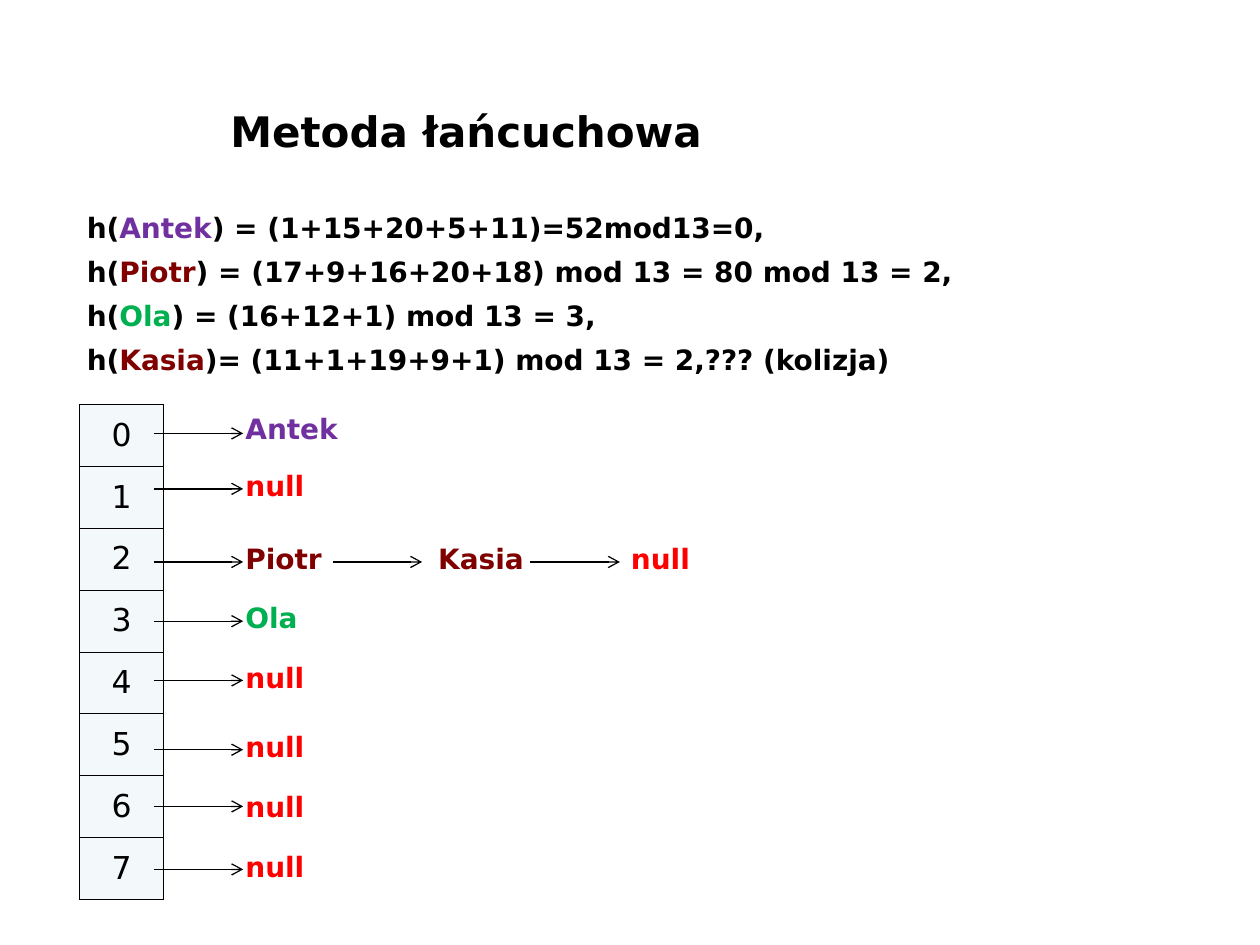
from lxml import etree
from pptx import Presentation
from pptx.dml.color import RGBColor
from pptx.enum.shapes import MSO_CONNECTOR
from pptx.enum.text import MSO_ANCHOR, PP_ALIGN
from pptx.oxml.ns import qn
from pptx.util import Inches, Pt

STRAIGHT = MSO_CONNECTOR.STRAIGHT
MIDDLE = MSO_ANCHOR.MIDDLE
CENTER = PP_ALIGN.CENTER

FONT = "DejaVu Sans"
BLACK, PURPLE, MAROON, GREEN, RED = "000000", "7030A0", "800000", "00B050", "FF0000"
CELL_FILL = "F3F9FA"
UNIT = 0.1
COLUMNS, ROWS = 100, 75
TAB_STEP = 15.3
ARROW_LENGTH = 7.1

HASHES = [
    ("Antek", PURPLE, ") = (1+15+20+5+11)=52mod13=0,"),
    ("Piotr", MAROON, ") = (17+9+16+20+18) mod 13 = 80 mod 13 = 2,"),
    ("Ola", GREEN, ") = (16+12+1) mod 13 = 3,"),
    ("Kasia", MAROON, ")= (11+1+19+9+1) mod 13 = 2,??? (kolizja)"),
]
NULL = ("null", RED)
CHAINS = [
    (2.3, 0.1, [("Antek", PURPLE)]),
    (6.7, 4.6, [NULL]),
    (12.5, 10.4, [("Piotr", MAROON), ("Kasia", MAROON), NULL]),
    (17.2, 15.1, [("Ola", GREEN)]),
    (21.9, 19.8, [NULL]),
    (27.4, 25.3, [NULL]),
    (31.9, 30.1, [NULL]),
    (36.9, 34.8, [NULL]),
]
ARROW_STARTS = [5.9, 20.1, 35.8]


def grid(value):
    return Inches(value * UNIT)


def color(value):
    return RGBColor.from_string(value)


def add_span(para, text, fill, size=16, bold=True):
    span = para.add_run()
    span.text = text
    for name, value in {"name": FONT, "size": Pt(size), "bold": bold}.items():
        setattr(span.font, name, value)
    span.font.color.rgb = color(fill)


def add_frame(page, box):
    frame = page.shapes.add_textbox(*map(grid, box)).text_frame
    frame.word_wrap = True
    return frame


def add_title(page, box):
    frame = add_frame(page, box)
    frame.vertical_anchor = MIDDLE
    add_span(frame.paragraphs[0], "Metoda łańcuchowa", BLACK, 24)


def add_hashes(page, box):
    frame = add_frame(page, box)
    for index, (name, fill, result) in enumerate(HASHES):
        para = frame.add_paragraph() if index else frame.paragraphs[0]
        para.space_after = Pt(6)
        for text, shade in [("h(", BLACK), (name, fill), (result, BLACK)]:
            add_span(para, text, shade)


def add_borders(cell):
    properties = cell._tc.get_or_add_tcPr()
    for position, side in enumerate(["a:lnL", "a:lnR", "a:lnT", "a:lnB"]):
        border = etree.Element(qn(side), w=str(Pt(0.45)))
        fill = etree.SubElement(border, qn("a:solidFill"))
        etree.SubElement(fill, qn("a:srgbClr"), val=BLACK)
        properties.insert(position, border)


def add_buckets(page, box):
    table = page.shapes.add_table(len(CHAINS), 1, *map(grid, box)).table
    table.first_row = table.horz_banding = False
    margins = {"margin_left": 0.01, "margin_right": 0.01, "margin_top": 0.05, "margin_bottom": 0.05}
    for index in range(len(CHAINS)):
        cell = table.cell(index, 0)
        cell.fill.solid()
        cell.fill.fore_color.rgb = color(CELL_FILL)
        cell.vertical_anchor = MIDDLE
        for name, value in margins.items():
            setattr(cell, name, Inches(value))
        add_borders(cell)
        para = cell.text_frame.paragraphs[0]
        para.alignment = CENTER
        add_span(para, str(index), BLACK, 18, False)


def add_arrow(page, left, top):
    ends = map(grid, (left, top, left + ARROW_LENGTH, top))
    arrow = page.shapes.add_connector(STRAIGHT, *ends)
    arrow.line.width = Pt(0.75)
    arrow.line.color.rgb = color(BLACK)
    etree.SubElement(arrow.line._get_or_add_ln(), qn("a:tailEnd"), type="arrow")
    etree.SubElement(arrow._element.spPr, qn("a:effectLst"))


def add_chain(page, box, names):
    para = add_frame(page, box).paragraphs[0]
    if len(names) > 1:
        tabs = etree.SubElement(para._p.get_or_add_pPr(), qn("a:tabLst"))
        for stop in range(1, len(names)):
            etree.SubElement(tabs, qn("a:tab"), pos=str(grid(stop * TAB_STEP)), algn="l")
    for index, (name, fill) in enumerate(names):
        add_span(para, f"\t{name}" if index else name, fill)


def add_hash_table(page, box):
    left, top, width, height = box
    add_buckets(page, (left, top, 6.7, height))
    for arrow_top, label_top, names in CHAINS:
        for start in ARROW_STARTS[:len(names)]:
            add_arrow(page, left + start, top + arrow_top)
        add_chain(page, (left + 12.2, top + label_top, width - 12.2, 3.7), names)


def main():
    deck = Presentation()
    deck.slide_width, deck.slide_height = grid(COLUMNS), grid(ROWS)
    page = deck.slides.add_slide(deck.slide_layouts[6])
    add_title(page, (17.3, 5.2, 77.7, 10.3))
    add_hashes(page, (5.9, 16.2, 92.1, 14.2))
    add_hash_table(page, (6.3, 32.1, 53.9, 39.3))
    deck.save("out.pptx")


if __name__ == "__main__":
    main()
